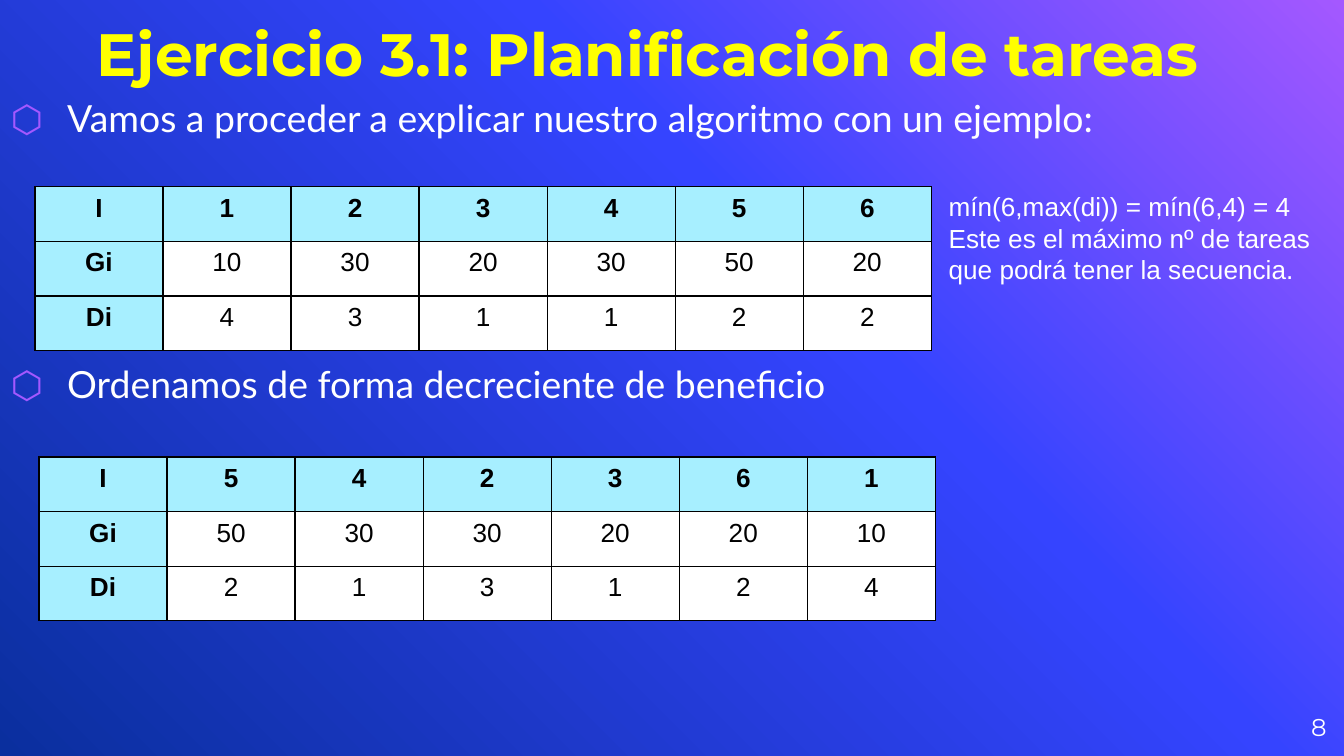
from dataclasses import dataclass

from lxml.etree import SubElement as Sub
from pptx import Presentation
from pptx.dml.color import RGBColor as Rgb
from pptx.enum.text import MSO_ANCHOR as Anchor, PP_ALIGN as Align
from pptx.oxml import parse_xml
from pptx.oxml.ns import nsdecls, qn
from pptx.util import Inches, Pt


@dataclass(frozen=True)
class Theme:
    """Colours, fonts and type sizes."""
    glow: str = "A458FF"
    blue: str = "3544FF"
    navy: str = "0A2F9E"
    gold: str = "FFFF00"
    white: str = "FFFFFF"
    black: str = "000000"
    head: str = "A7EFFF"
    title_font: str = "Montserrat"
    body_font: str = "Lato"
    data_font: str = "Arial"
    title: int = 32
    body: int = 20
    data: int = 14
    page: int = 13
    rule: float = 0.75


class Board:
    """Holds the theme and the current slide."""

    def __init__(self, slide, theme):
        """Keep the slide and its theme."""
        self.slide, self.theme = slide, theme

    def back(self, stops):
        """Fill the background with a diagonal gradient."""
        fill = self.slide.background.fill
        fill.gradient()
        fill.gradient_angle = 225
        marks = next(self.slide.element.iter(qn("a:gsLst")))
        for old in list(marks):
            marks.remove(old)
        for place, color in stops:
            mark = Sub(marks, qn("a:gs"), pos=str(place * 1000))
            Sub(mark, qn("a:srgbClr"), val=color)

    def run(self, para, text, size, font, color, bold=False):
        """Add one styled run to a paragraph."""
        run = para.add_run()
        run.text = text
        face = run.font
        face.size, face.name, face.bold = Pt(size), font, bold
        face.color.rgb = Rgb.from_string(color)

    def text(self, box, lines, size, font, color, bold=False,
             pad=(0, 0), anchor=Anchor.TOP, align=Align.LEFT):
        """Add a text box and return its paragraphs."""
        frame = self.slide.shapes.add_textbox(*map(Inches, box)).text_frame
        frame.word_wrap = True
        frame.vertical_anchor = anchor
        frame.margin_left = frame.margin_right = Inches(pad[0])
        frame.margin_top = frame.margin_bottom = Inches(pad[1])
        for num, line in enumerate(lines):
            para = frame.add_paragraph() if num else frame.paragraphs[0]
            para.alignment = align
            self.run(para, line, size, font, color, bold)
        return frame.paragraphs

    def point(self, box, line):
        """Add a text line with a hexagon bullet."""
        look = self.theme
        para = self.text(box, [line], look.body, look.body_font, look.white)[0]
        para.line_spacing, para.space_before = 1.15, Pt(6)
        props = para._p.get_or_add_pPr()
        props.set("marL", str(Inches(0.5)))
        props.set("indent", str(Inches(-0.42)))
        Sub(Sub(props, qn("a:buClr")), qn("a:srgbClr"), val=look.glow)
        Sub(props, qn("a:buFont"), typeface=look.body_font)
        Sub(props, qn("a:buChar"), char="⬡")

    def edge(self, cell):
        """Draw the four borders of a cell."""
        props = cell._tc.get_or_add_tcPr()
        for num, side in enumerate("LRTB"):
            props.insert(num, parse_xml(
                f'<a:ln{side} {nsdecls("a")} w="{Pt(self.theme.rule)}">'
                f'<a:solidFill><a:srgbClr val="{self.theme.black}"/>'
                f'</a:solidFill></a:ln{side}>'))

    def table(self, left, top, rows, wide=6.67, high=1.22):
        """Add a grid whose first row and column are heads."""
        look = self.theme
        grid = self.slide.shapes.add_table(
            len(rows), len(rows[0]),
            *map(Inches, (left, top, wide, high))).table
        grid.first_row = grid.horz_banding = False
        for r, row in enumerate(rows):
            for c, value in enumerate(row):
                cell = grid.cell(r, c)
                head = r == 0 or c == 0
                cell.fill.solid()
                cell.fill.fore_color.rgb = Rgb.from_string(
                    look.head if head else look.white)
                para = cell.text_frame.paragraphs[0]
                para.alignment = Align.CENTER
                self.run(para, str(value), look.data, look.data_font,
                         look.black, head)
                self.edge(cell)


def pick(order, gains, dates):
    """List the tasks in the given order as table rows."""
    return [["I", *order],
            ["Gi", *(gains[i - 1] for i in order)],
            ["Di", *(dates[i - 1] for i in order)]]


def main():
    """Build and save the slide."""
    deck = Presentation()
    deck.slide_width = Inches(10)
    deck.slide_height = deck.slide_width * 9 // 16
    look = Theme()
    board = Board(deck.slides.add_slide(deck.slide_layouts[6]), look)
    board.back([(0, look.glow), (39, look.blue), (100, look.navy)])

    board.text((0.72, 0.11, 8.43, 0.55),
               ["Ejercicio 3.1: Planificación de tareas"], look.title,
               look.title_font, look.gold, True, anchor=Anchor.BOTTOM)
    board.text((9.27, 5.19, 0.6, 0.43), ["8"], look.page, look.title_font,
               look.white, anchor=Anchor.MIDDLE, align=Align.RIGHT)

    gains = [10, 30, 20, 30, 50, 20]
    dates = [4, 3, 1, 1, 2, 2]
    board.point((0, 0.66, 10.21, 0.57),
                "Vamos a proceder a explicar nuestro algoritmo con un ejemplo:")
    board.table(0.26, 1.39, pick(range(1, 7), gains, dates))
    board.text((6.96, 1.37, 2.92, 0.81),
               ["mín(6,max(di)) = mín(6,4) = 4",
                "Este es el máximo nº de tareas que podrá tener la secuencia."],
               look.data, look.data_font, look.white, pad=(0.1, 0.05))
    board.point((0, 2.64, 6.46, 0.57),
                "Ordenamos de forma decreciente de beneficio")
    board.table(0.29, 3.4, pick([5, 4, 2, 3, 6, 1], gains, dates))
    deck.save("out.pptx")


main()
